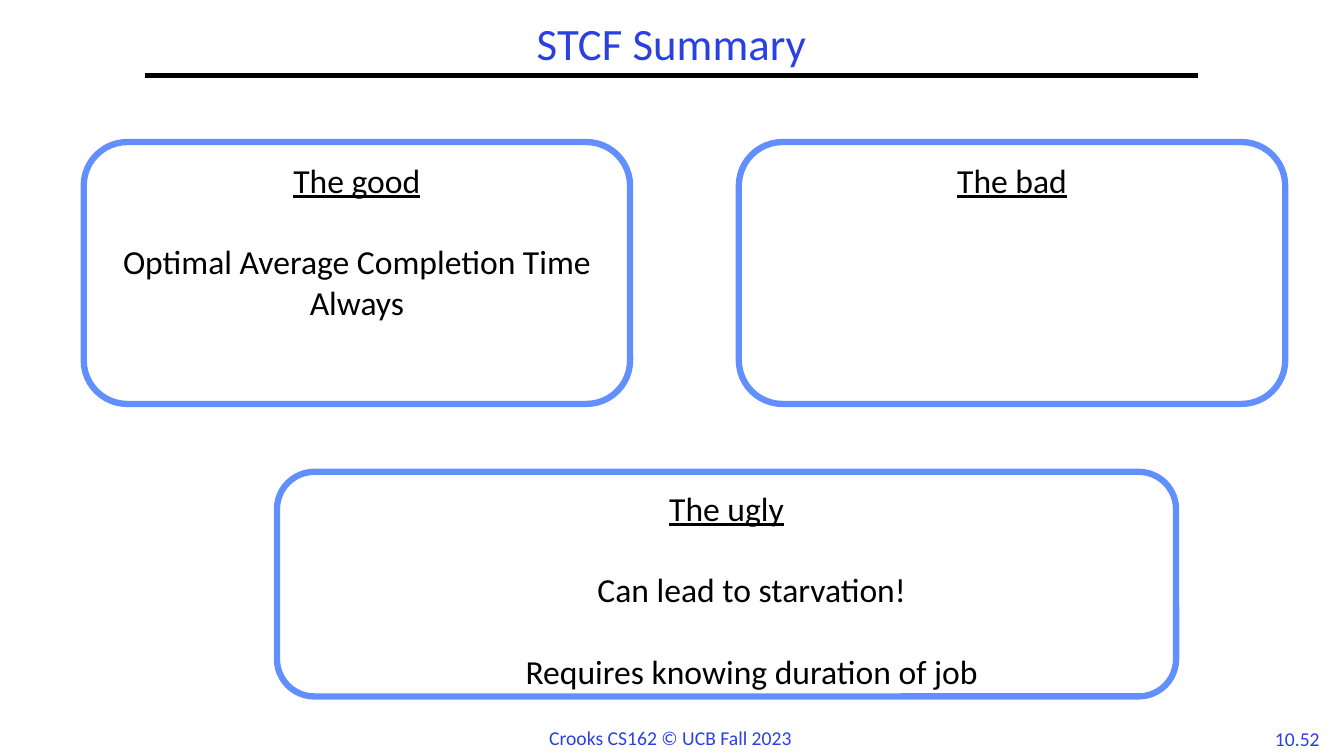
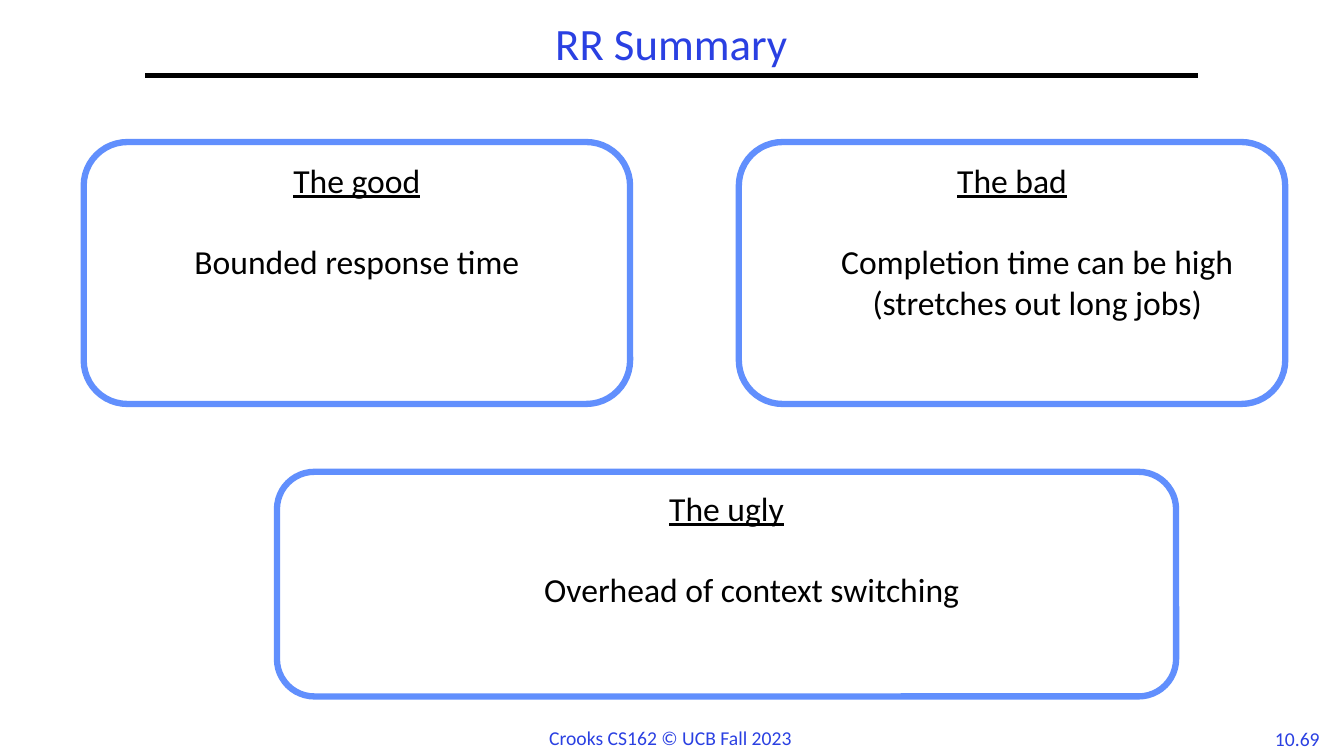
from dataclasses import dataclass

from lxml.etree import SubElement
from pptx import Presentation
from pptx.dml.color import RGBColor
from pptx.enum.shapes import MSO_CONNECTOR as Connector, MSO_SHAPE as Shape
from pptx.enum.text import MSO_ANCHOR as Anchor, MSO_AUTO_SIZE as AutoSize, PP_ALIGN as Align
from pptx.oxml.ns import qn
from pptx.slide import Slide
from pptx.text.text import Font
from pptx.util import Cm, Pt

FONT = "Calibri"
BLUE, BORDER, BLACK, WHITE = "2A40E2", "618FFD", "000000", "FFFFFF"
FOOTER = "Crooks CS162 © UCB Fall 2023"
INDENT = Cm(1.27)
LINE_GAP = Pt(29.3)  # one line of 24 pt text
RULE_LEFT, RULE_WIDTH, RULE_TOP = 3.66, 26.52, 1.9


@dataclass(frozen=True)
class Panel:
    heading: str
    left: float
    top: float
    width: float
    height: float


@dataclass(frozen=True)
class Point:
    text: str
    indented: bool = True


@dataclass(frozen=True)
class Summary:
    title: str
    number: str
    points: tuple[tuple[Point, ...], ...]  # one group for each panel


PANELS = (
    Panel("The good", 2.11, 3.58, 13.77, 6.6),
    Panel("The bad", 18.62, 3.58, 13.77, 6.6),
    Panel("The ugly", 6.98, 11.89, 22.66, 5.66),
)

SUMMARIES = (
    Summary("STCF Summary", "10.52", (
        (Point("Optimal Average Completion Time Always", indented=False),),
        (),
        (Point("Can lead to starvation!"), Point("Requires knowing duration of job")),
    )),
    Summary("RR Summary", "10.69", (
        (Point("Bounded response time", indented=False),),
        (Point("Completion time can be high (stretches out long jobs)"),),
        (Point("Overhead of context switching"),),
    )),
)


def color(value: str) -> RGBColor:
    return RGBColor.from_string(value)


def style_font(font: Font, size: float, value: str) -> None:
    font.name, font.size = FONT, Pt(size)
    font.color.rgb = color(value)


def add_title(slide: Slide, text: str) -> None:
    title = slide.shapes.title
    title.left, title.top = Cm(RULE_LEFT), Cm(0.43)
    title.width, title.height = Cm(RULE_WIDTH), Cm(1.47)
    frame = title.text_frame
    frame.text = text
    frame.auto_size = AutoSize.NONE
    frame.vertical_anchor = Anchor.MIDDLE
    para = frame.paragraphs[0]
    para.alignment, para.line_spacing = Align.CENTER, 0.9
    style_font(para.font, 32, BLUE)


def add_rule(slide: Slide) -> None:
    rule = slide.shapes.add_connector(
        Connector.STRAIGHT, Cm(RULE_LEFT), Cm(RULE_TOP),
        Cm(RULE_LEFT + RULE_WIDTH), Cm(RULE_TOP))
    rule.line.color.rgb = color(BLACK)
    rule.line.width = Pt(3)
    SubElement(rule._element.spPr, qn("a:effectLst"))


def add_label(slide: Slide, text: str, left: float, top: float,
              width: float, align: Align) -> None:
    box = slide.shapes.add_textbox(Cm(left), Cm(top), Cm(width), Cm(0.85))
    frame = box.text_frame
    frame.text = text
    frame.word_wrap = False
    frame.auto_size = AutoSize.SHAPE_TO_FIT_TEXT
    para = frame.paragraphs[0]
    para.alignment = align
    style_font(para.font, 14, BLUE)


def add_panel(slide: Slide, panel: Panel, points: tuple[Point, ...]) -> None:
    box = slide.shapes.add_shape(
        Shape.ROUNDED_RECTANGLE, Cm(panel.left), Cm(panel.top),
        Cm(panel.width), Cm(panel.height))
    box.shadow.inherit = False
    box.fill.solid()
    box.fill.fore_color.rgb = color(WHITE)
    box.line.color.rgb = color(BORDER)
    box.line.width = Pt(4.5)

    frame = box.text_frame
    frame.word_wrap = True
    frame.vertical_anchor = Anchor.TOP
    heading = frame.paragraphs[0]
    heading.text = panel.heading
    heading.font.underline = True
    for point in points:
        para = frame.add_paragraph()
        para.text = point.text
        para.space_before = LINE_GAP
        if point.indented:
            para._p.get_or_add_pPr().set("marL", str(INDENT))
    for para in frame.paragraphs:
        para.alignment = Align.CENTER
        style_font(para.font, 24, BLACK)


def add_summary(deck: Presentation, summary: Summary) -> None:
    slide = deck.slides.add_slide(deck.slide_layouts.get_by_name("Title Only"))
    # Shared frame: title, rule and footer
    add_title(slide, summary.title)
    add_rule(slide)
    add_label(slide, FOOTER, 13.59, 18.16, 6.68, Align.LEFT)
    add_label(slide, summary.number, 31.83, 18.19, 1.73, Align.CENTER)
    # Panels
    for panel, points in zip(PANELS, summary.points):
        add_panel(slide, panel, points)


def main() -> None:
    deck = Presentation()
    deck.slide_width, deck.slide_height = Cm(33.87), Cm(19.05)
    for summary in SUMMARIES:
        add_summary(deck, summary)
    deck.save("out.pptx")


if __name__ == "__main__":
    main()
